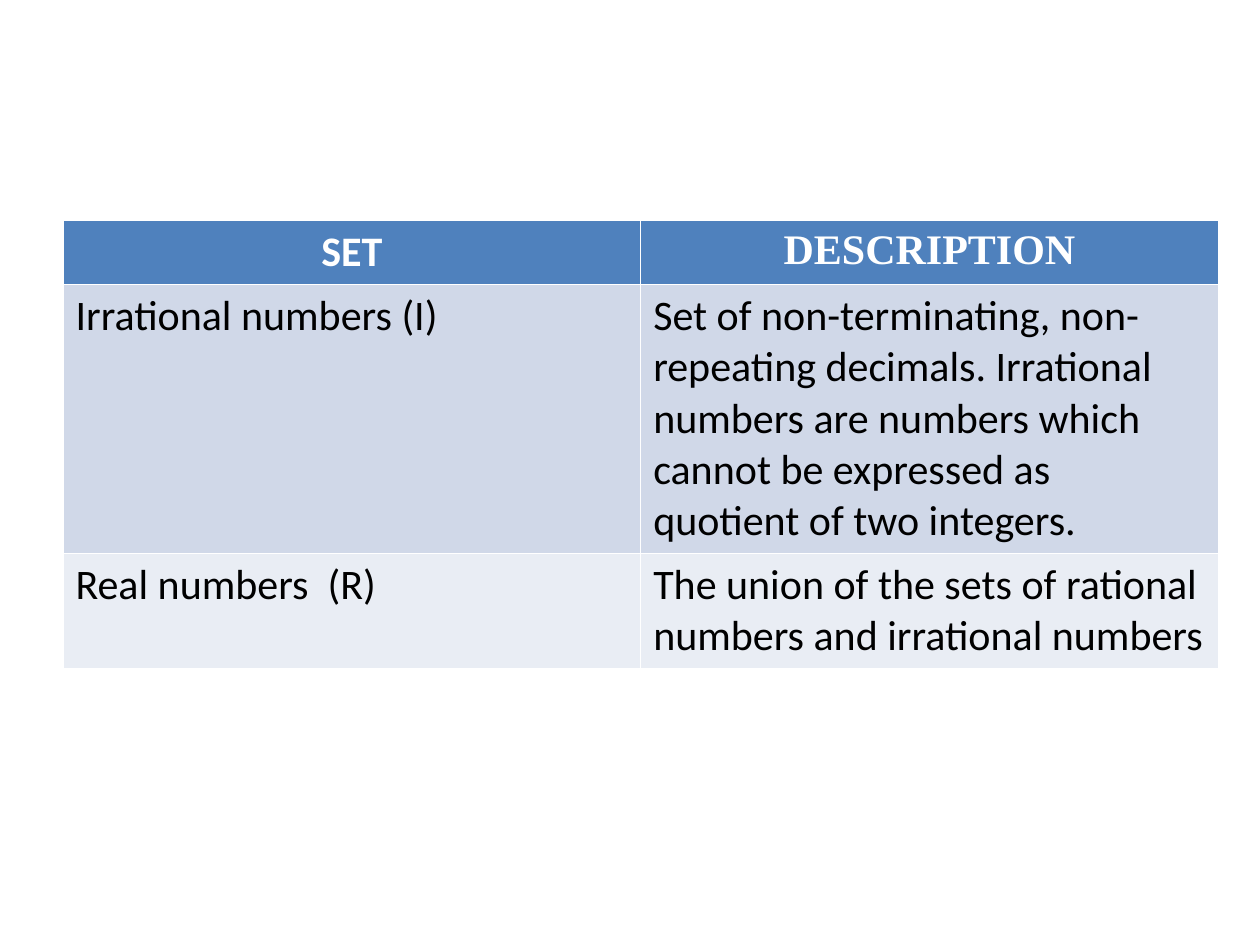
from pptx import Presentation
from pptx.dml.color import RGBColor
from pptx.enum.text import PP_ALIGN
from pptx.util import Inches, Pt

CENTER, LEFT = PP_ALIGN.CENTER, PP_ALIGN.LEFT
WHITE = RGBColor(0xFF, 0xFF, 0xFF)
BLACK = RGBColor(0x00, 0x00, 0x00)
HEADER_BLUE = RGBColor(0x4F, 0x81, 0xBD)
BAND_DARK = RGBColor(0xD0, 0xD8, 0xE8)
BAND_LIGHT = RGBColor(0xE9, 0xED, 0xF4)

ROWS = [
    ("SET", "DESCRIPTION"),
    ("Irrational numbers (I)",
     "Set of non-terminating, non-repeating decimals. Irrational numbers are "
     "numbers which cannot be expressed as quotient of two integers."),
    ("Real numbers  (R)",
     "The union of the sets of rational numbers and irrational numbers"),
]
ROW_HEIGHTS = [0.5, 2.13, 0.91]
ROW_FILLS = [HEADER_BLUE, BAND_DARK, BAND_LIGHT]
HEADER_FONTS = ["Calibri", "Times New Roman"]
BODY_FONT = "Calibri"

presentation = Presentation()
presentation.slide_width = Inches(10)
presentation.slide_height = Inches(7.5)
slide = presentation.slides.add_slide(presentation.slide_layouts[6])

# The default table style supplies the white cell borders.
table = slide.shapes.add_table(
    len(ROWS), len(ROWS[0]), Inches(0.5), Inches(1.75),
    Inches(9.17), Inches(sum(ROW_HEIGHTS))).table

for row_index, texts in enumerate(ROWS):
    is_header = row_index == 0
    table.rows[row_index].height = Inches(ROW_HEIGHTS[row_index])
    for column_index, text in enumerate(texts):
        cell = table.cell(row_index, column_index)
        cell.fill.solid()
        cell.fill.fore_color.rgb = ROW_FILLS[row_index]
        cell.text_frame.text = text
        paragraph = cell.text_frame.paragraphs[0]
        paragraph.alignment = CENTER if is_header else LEFT
        font = paragraph.runs[0].font
        font.name = HEADER_FONTS[column_index] if is_header else BODY_FONT
        font.size = Pt(24)
        font.bold = is_header
        font.color.rgb = WHITE if is_header else BLACK

presentation.save("out.pptx")
